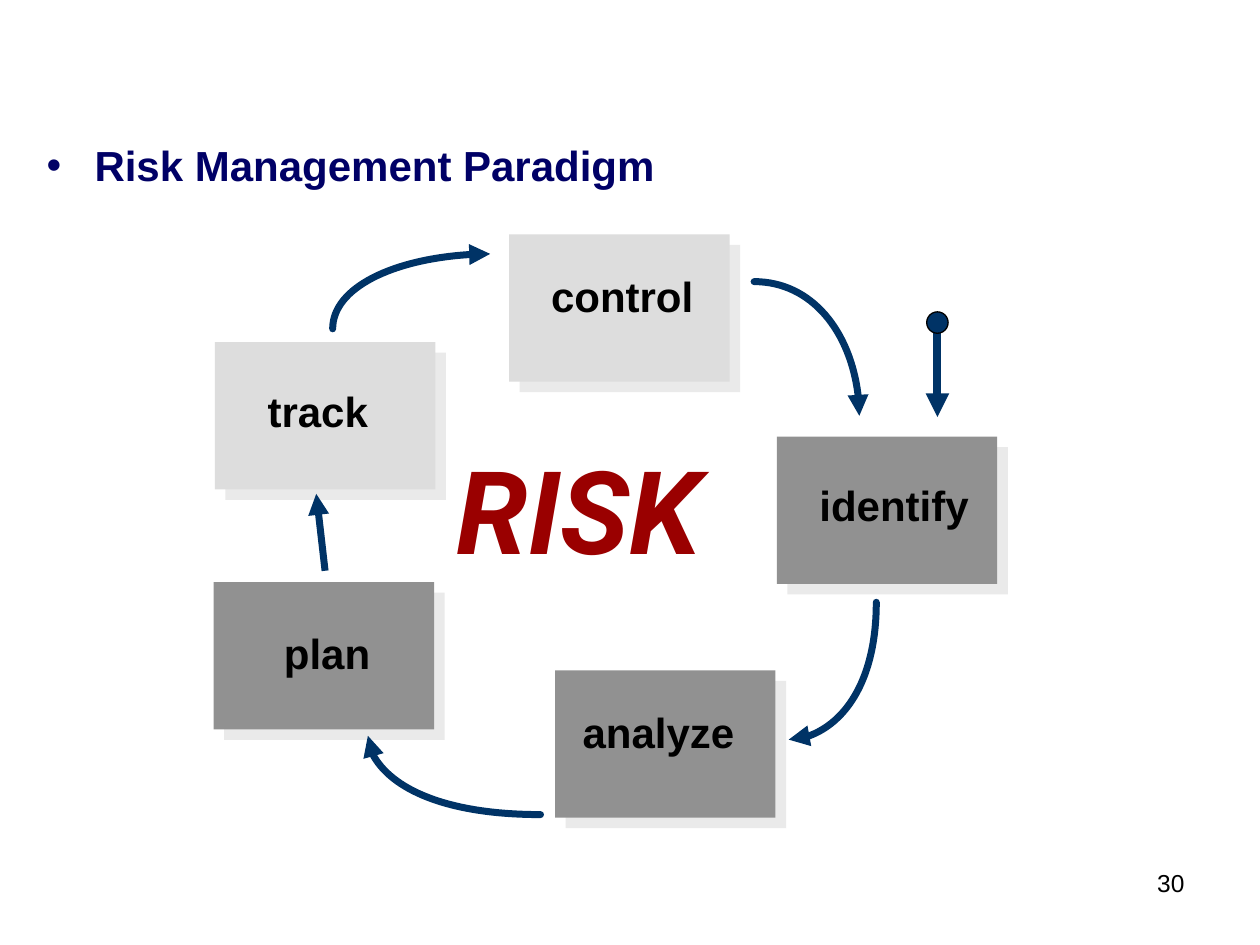
from lxml import etree
from pptx import Presentation
from pptx.dml.color import RGBColor
from pptx.enum.shapes import MSO_CONNECTOR, MSO_SHAPE
from pptx.enum.text import MSO_ANCHOR, MSO_AUTO_SIZE, PP_ALIGN
from pptx.oxml.ns import qn
from pptx.util import Inches, Pt

RECT, OVAL = MSO_SHAPE.RECTANGLE, MSO_SHAPE.OVAL
LINE = MSO_CONNECTOR.STRAIGHT
FIT, FIXED = MSO_AUTO_SIZE.SHAPE_TO_FIT_TEXT, MSO_AUTO_SIZE.NONE
TOP, RIGHT = MSO_ANCHOR.TOP, PP_ALIGN.RIGHT
COLORS = {"head": "000066", "risk": "9A0000", "light": "DDDDDD", "dark": "919191",
          "shade": "EAEAEA", "arrow": "003366", "ink": "000000"}

# Grid of 100 columns by 75 rows, one tenth of an inch each
CELL = Inches(0.1)
COLS, ROWS = 100, 75
BOX_W, BOX_H = 17.5, 11.7
LABEL_H = 4.6
BEND = 0.55


def grid(*cells):
    return [round(c * CELL) for c in cells]


def color(name):
    return RGBColor.from_string(COLORS[name])


def style(frame, text, size, tint, bold=True, italic=False, font="Arial"):
    frame.text = text
    para = frame.paragraphs[0]
    face = para.runs[0].font
    face.name, face.size, face.bold, face.italic = font, Pt(size), bold, italic
    face.color.rgb = color(tint)
    return para


def add_text(slide, box, text, size, tint="ink", wrap=True, lead=0.9, **looks):
    shape = slide.shapes.add_textbox(*grid(*box))
    frame = shape.text_frame
    para = style(frame, text, size, tint, **looks)
    para.line_spacing = lead
    frame.word_wrap, frame.auto_size = wrap, FIT
    return shape


def add_head(slide, box, text):
    slide.shapes.title.element.getparent().remove(slide.shapes.title.element)
    body = slide.placeholders[1]
    body.left, body.top, body.width, body.height = grid(*box)
    body.text_frame.vertical_anchor = TOP
    para = style(body.text_frame, text, 24, "head")
    para.space_before = Pt(6)
    props = para._p.get_or_add_pPr()
    props.set("marL", str(Inches(0.38)))
    props.set("indent", str(-Inches(0.38)))
    etree.SubElement(props, qn("a:buChar"), char="•")


def add_step(slide, left, top, fill, text, dx, dy, width):
    # Card with a hard shadow
    card = slide.shapes.add_shape(RECT, *grid(left, top, BOX_W, BOX_H))
    card.fill.solid()
    card.fill.fore_color.rgb = color(fill)
    card.line.fill.background()
    card.shadow.inherit = False
    effect = card._element.spPr.find(qn("a:effectLst"))
    shade = etree.SubElement(effect, qn("a:outerShdw"), blurRad="0", dist=str(Pt(8.5)),
                             dir="2700000", algn="ctr", rotWithShape="0")
    etree.SubElement(shade, qn("a:srgbClr"), val=COLORS["shade"])
    # Label, set off from the card's corner
    return add_text(slide, (left + dx, top + dy, width, LABEL_H), text, 24, wrap=False)


def ink_arrow(shape, width, cap="flat"):
    shape.line.color.rgb = color("arrow")
    shape.line.width = Pt(width)
    line = shape.line._get_or_add_ln()
    line.set("cap", cap)
    etree.SubElement(line, qn("a:tailEnd"), type="triangle")
    etree.SubElement(shape._element.spPr, qn("a:effectLst"))


def add_arrow(slide, start, end, width):
    ink_arrow(slide.shapes.add_connector(LINE, *grid(*start, *end)), width)


def add_arc(slide, start, end, flat):
    """Quarter arc that leaves its start level (flat) or upright."""
    pen = slide.shapes.build_freeform(*grid(*start))
    pen.add_line_segments([grid(*end)], close=False)
    arc = pen.convert_to_shape()
    arc.fill.background()
    # Turn the straight segment into a curve
    step = next(arc._element.iter(qn("a:lnTo")))
    first, last = [(int(p.get("x")), int(p.get("y")))
                   for p in arc._element.iter(qn("a:pt"))]
    turn = (last[0], first[1]) if flat else (first[0], last[1])
    curve = etree.Element(qn("a:cubicBezTo"))
    for base in (first, last):
        x, y = (round(b + BEND * (t - b)) for b, t in zip(base, turn))
        etree.SubElement(curve, qn("a:pt"), x=str(x), y=str(y))
    etree.SubElement(curve, qn("a:pt"), x=str(last[0]), y=str(last[1]))
    step.getparent().replace(step, curve)
    ink_arrow(arc, 4, "rnd")


def add_entry(slide, x, top, end):
    size = 1.7
    add_arrow(slide, (x, top + size / 2), (x, end), 4.5)
    dot = slide.shapes.add_shape(OVAL, *grid(x - size / 2, top, size, size))
    dot.fill.solid()
    dot.fill.fore_color.rgb = color("arrow")
    dot.line.color.rgb = color("ink")
    dot.line.width = Pt(0.75)
    dot.shadow.inherit = False


def add_cycle(slide):
    steps = [(61.65, 34.65, "dark", "identify", 2.4, 3.4, 14.1),
             (40.4, 18.6, "light", "control", 2.35, 2.8, 13.6),
             (17.05, 27.15, "light", "track", 3.2, 3.4, 10.2),
             (16.95, 46.2, "dark", "plan", 4.6, 3.6, 9.1),
             (44.05, 53.2, "dark", "analyze", 1.2, 2.8, 14.3)]
    for step in steps:
        label = add_step(slide, *step)
    label.fill.solid()
    label.fill.fore_color.rgb = color("dark")
    arcs = [((59.85, 22.35), (68.2, 33), True),
            ((69.55, 47.8), (62.6, 58.7), False),
            ((42.9, 64.65), (29.2, 58.4), True),
            ((26.4, 26.1), (38.9, 20.15), False)]
    for arc in arcs:
        add_arc(slide, *arc)
    add_arrow(slide, (25.8, 45.3), (25.1, 39.2), 4)
    add_entry(slide, 74.4, 24.75, 33.1)


deck = Presentation()
deck.slide_width, deck.slide_height = grid(COLS, ROWS)
page = deck.slides.add_slide(deck.slide_layouts[1])
add_head(page, (2.7, 10.6, 90, 9.5), "Risk Management Paradigm")
add_text(page, (35.25, 35.6, 25.8, 11), "RISK", 66, "risk", italic=True, font="Roboto")
add_cycle(page)

# Page number
number = add_text(page, (74.4, 68.4, 20.6, 5.2), "30", 14, lead=1.0, bold=False)
number.text_frame.auto_size = FIXED
number.text_frame.paragraphs[0].alignment = RIGHT
deck.save("out.pptx")
